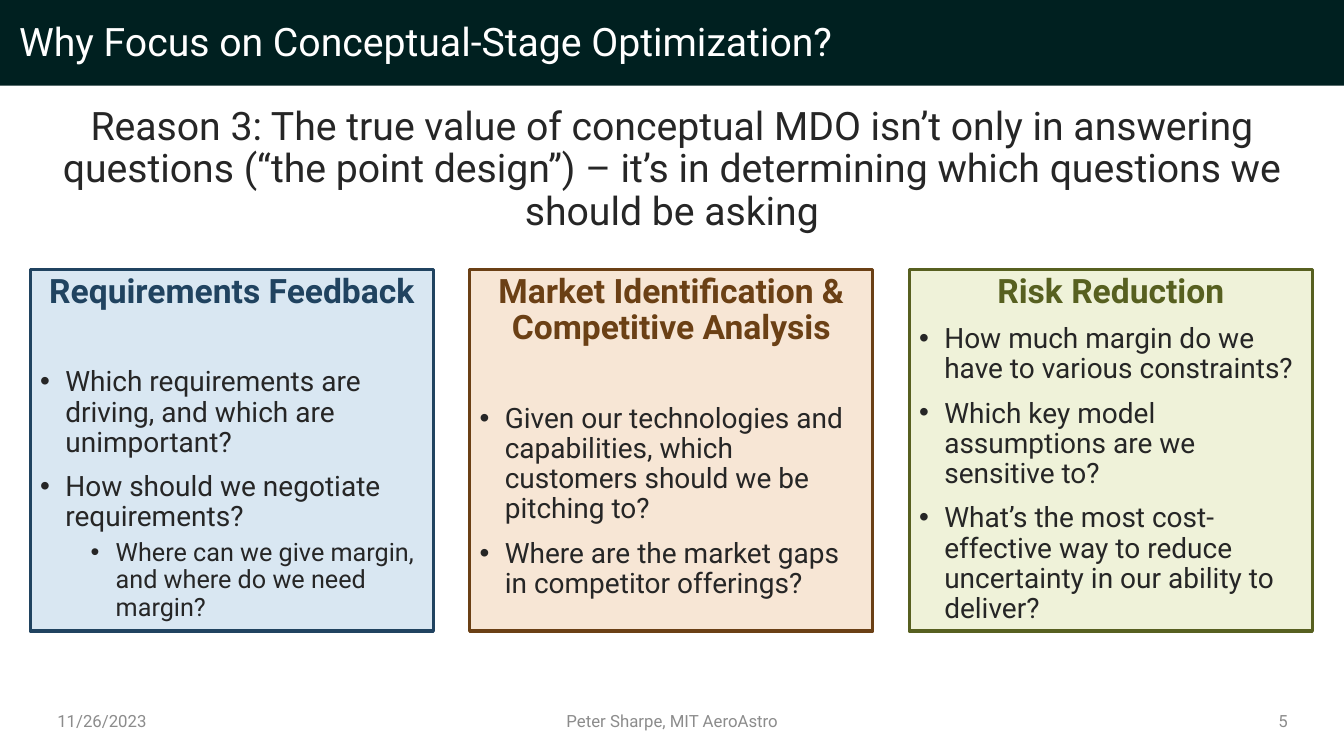
from pptx import Presentation
from pptx.dml.color import RGBColor
from pptx.enum.shapes import MSO_SHAPE as SHAPE
from pptx.enum.text import MSO_ANCHOR as ANCHOR, MSO_AUTO_SIZE as AUTO, PP_ALIGN as ALIGN
from pptx.oxml.ns import qn
from pptx.util import Pt

# Content
TITLE = "Why Focus on Conceptual-Stage Optimization?"
REASON = ("Reason 3: The true value of conceptual MDO isn’t only in answering questions "
          "(“the point design”) – it’s in determining which questions we should be asking")
# heading, line colour, fill, space above first bullet, bullets as (level, text)
CARDS = [
    ("Requirements Feedback", "204360", "D9E7F2", 41, [
        (0, "Which requirements are driving, and which are unimportant?"),
        (0, "How should we negotiate requirements?"),
        (1, "Where can we give margin, and where do we need margin?")]),
    ("Market Identification & Competitive Analysis", "6B4015", "F7E6D5", 41, [
        (0, "Given our technologies and capabilities, which customers should we be pitching to?"),
        (0, "Where are the market gaps in competitor offerings?")]),
    ("Risk Reduction", "576020", "EFF2D9", 10, [
        (0, "How much margin do we have to various constraints?"),
        (0, "Which key model assumptions are we sensitive to?"),
        (0, "What’s the most cost-effective way to reduce uncertainty in our ability to deliver?")]),
]
# text, left, width, alignment
FOOTER = [
    ("11/26/2023", 33.84, 94.5, ALIGN.LEFT),
    ("Peter Sharpe, MIT AeroAstro", 138.24, 684, ALIGN.CENTER),
    ("5", 832.5, 94.5, ALIGN.RIGHT),
]

# Formats
FONT, INK, GREY, WHITE, BAR = "Roboto", "262626", "8C8C8C", "FFFFFF", "002020"
LEVELS = [dict(size=20, left=18, before=10), dict(size=18, left=54, before=5)]
HANG = 18
CARD_LEFT, CARD_TOP, CARD_W, CARD_H, CARD_STEP = 21.6, 192.24, 288, 258.48, 313.92


def rgb(value):
    return RGBColor.from_string(value)


def box(x, y, w, h):
    return dict(left=Pt(x), top=Pt(y), width=Pt(w), height=Pt(h))


def setup(tf, anchor=ANCHOR.TOP):
    for name, value in dict(word_wrap=True, auto_size=AUTO.NONE, vertical_anchor=anchor).items():
        setattr(tf, name, value)


def write(p, text, size, color, align=ALIGN.LEFT, before=0, bold=False, spacing=0.9):
    p.text = text
    form = dict(alignment=align, line_spacing=spacing, space_before=Pt(before), space_after=Pt(0))
    for name, value in form.items():
        setattr(p, name, value)
    for name, value in dict(name=FONT, size=Pt(size), bold=bold).items():
        setattr(p.runs[0].font, name, value)
    p.runs[0].font.color.rgb = rgb(color)


def bullet(p, left):
    pPr = p._p.get_or_add_pPr()
    pPr.set("marL", str(Pt(left)))
    pPr.set("indent", str(-Pt(HANG)))
    for tag, key, value in [("a:buFont", "typeface", "Arial"), ("a:buChar", "char", "•")]:
        pPr.append(pPr.makeelement(qn(tag), {key: value}))


def add_rect(s, place, fill):
    sp = s.shapes.add_shape(SHAPE.RECTANGLE, **place)
    sp.shadow.inherit = False
    sp.fill.solid()
    sp.fill.fore_color.rgb = rgb(fill)
    return sp


def add_text(s, place, text, size, color, align, anchor=ANCHOR.TOP, spacing=0.9):
    tf = s.shapes.add_textbox(**place).text_frame
    setup(tf, anchor)
    write(tf.paragraphs[0], text, size, color, align, spacing=spacing)


prs = Presentation()
prs.slide_width, prs.slide_height = Pt(960), Pt(540)
s = prs.slides.add_slide(prs.slide_layouts[5])

# Title bar, placed behind the title
bar = add_rect(s, box(0, 0, 960, 61.2), BAR)
bar.line.fill.background()
title = s.shapes.title
title._element.addprevious(bar._element)
for name, value in box(6.48, 11.52, 892.8, 38.88).items():
    setattr(title, name, value)
setup(title.text_frame, ANCHOR.MIDDLE)
write(title.text_frame.paragraphs[0], TITLE, 28, WHITE)

# Statement
add_text(s, box(28.8, 72.72, 902.16, 51.12), REASON, 28, INK, ALIGN.CENTER)

# Three cards
for i, (heading, color, fill, gap, bullets) in enumerate(CARDS):
    card = add_rect(s, box(CARD_LEFT + i * CARD_STEP, CARD_TOP, CARD_W, CARD_H), fill)
    card.line.color.rgb = rgb(color)
    card.line.width = Pt(2.25)
    tf = card.text_frame
    setup(tf)
    write(tf.paragraphs[0], heading, 24, color, ALIGN.CENTER, bold=True)
    for j, (level, text) in enumerate(bullets):
        form = LEVELS[level]
        p = tf.add_paragraph()
        p.level = level
        bullet(p, form["left"])
        write(p, text, form["size"], INK, before=form["before"] if j else gap)

# Footer
for text, x, w, align in FOOTER:
    add_text(s, box(x, 500.4, w, 28.8), text, 12, GREY, align, ANCHOR.MIDDLE, spacing=1.0)

prs.save("out.pptx")
